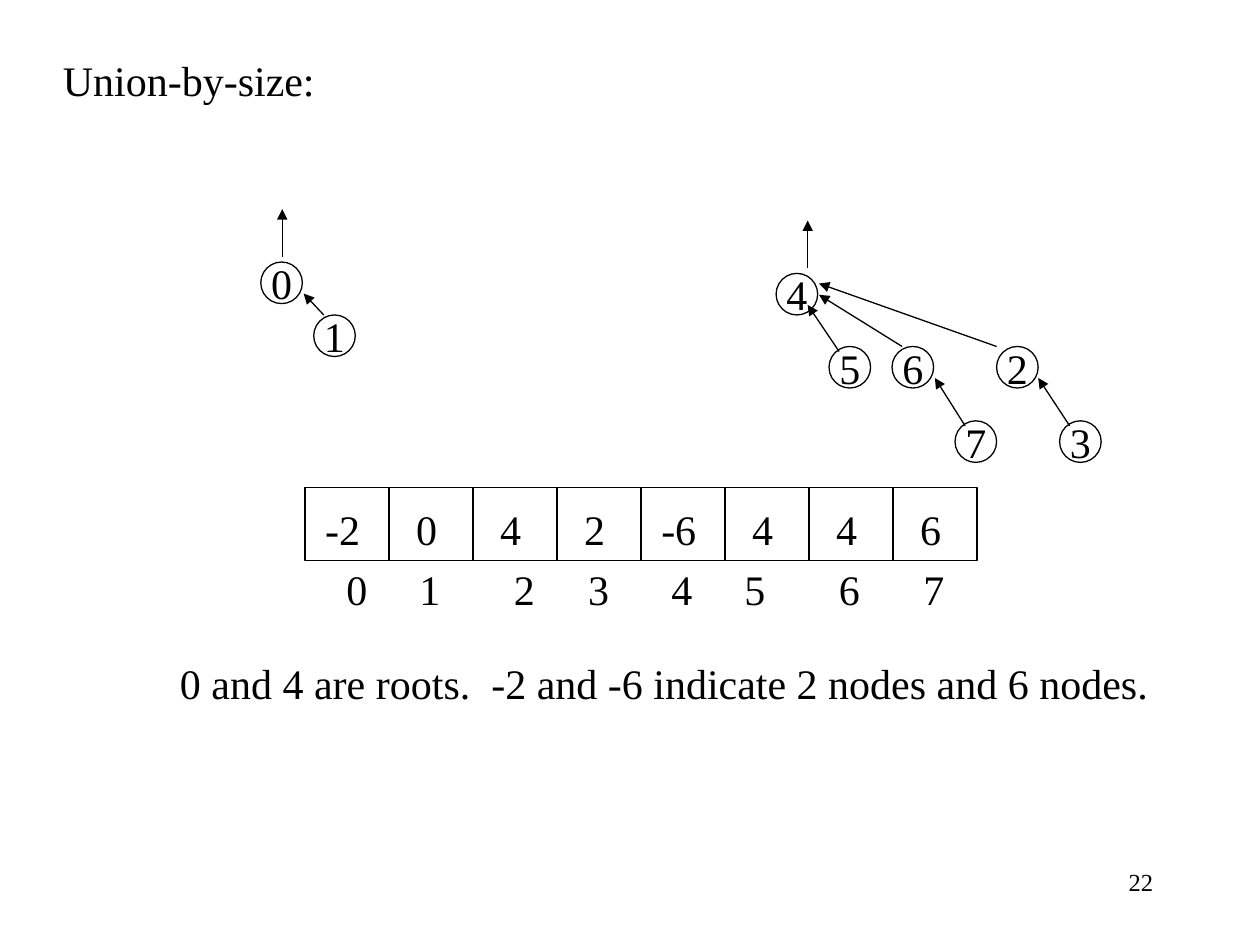
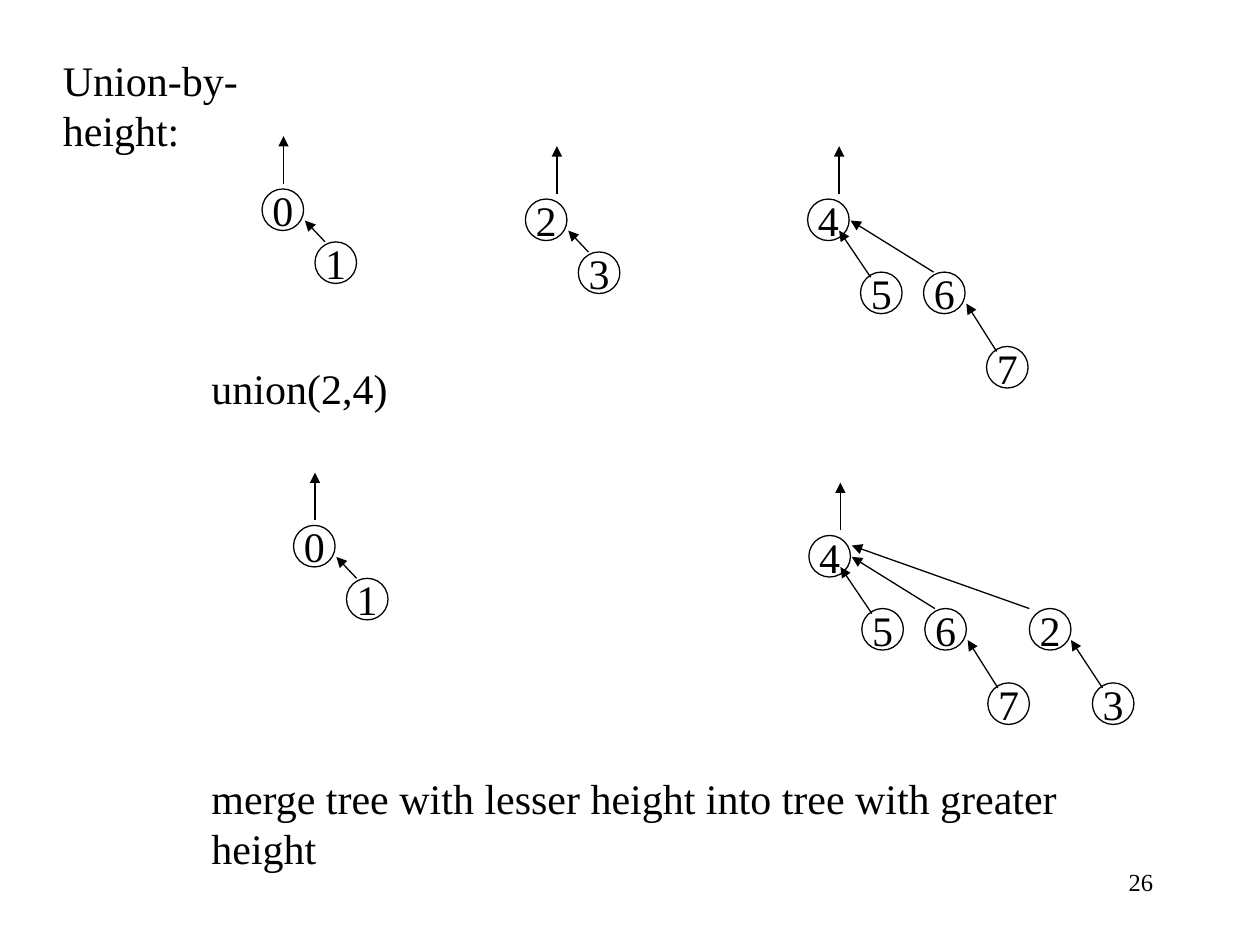
from lxml.etree import SubElement
from pptx import Presentation
from pptx.dml.color import RGBColor
from pptx.enum.shapes import MSO_CONNECTOR as Connector, MSO_SHAPE as Shape
from pptx.enum.text import MSO_ANCHOR as Anchor, PP_ALIGN as Align
from pptx.oxml.ns import qn
from pptx.util import Inches, Pt

COLORS = {"ink": "000000", "paper": "FFFFFF"}
FONT = "Times New Roman"
NODE_SIZE = 0.33

# Each branch: node offset, edge start and edge end, all from the root's corner.
PAIR_BRANCH = ((0.42, 0.42), (0.5, 0.42), (0.34, 0.25))
BRANCHES = {
    "1": PAIR_BRANCH,
    "3": PAIR_BRANCH,
    "5": ((0.42, 0.58), (0.5, 0.62), (0.25, 0.25)),
    "6": ((0.92, 0.58), (1, 0.58), (0.34, 0.17)),
    "7": ((1.42, 1.17), (1.5, 1.21), (1.26, 0.83)),
}
MERGED_BRANCHES = {
    **BRANCHES,
    "2": ((1.75, 0.58), (1.75, 0.58), (0.34, 0.08)),
    "3": ((2.25, 1.17), (2.33, 1.21), (2.08, 0.83)),
}


def write_text(shape, text, size=24, align=Align.LEFT, anchor=Anchor.TOP, wrap=False):
    frame = shape.text_frame
    frame.word_wrap = wrap
    frame.vertical_anchor = anchor
    paragraph = frame.paragraphs[0]
    paragraph.alignment = align
    run = paragraph.add_run()
    run.text = text
    run.font.name = FONT
    run.font.size = Pt(size)
    run.font.color.rgb = RGBColor.from_string(COLORS["ink"])


class Deck:
    def __init__(self):
        self.presentation = Presentation()
        self.presentation.slide_width = Inches(10)
        self.presentation.slide_height = Inches(7.5)
        self.slide = None

    def add_slide(self, title, number):
        self.slide = self.presentation.slides.add_slide(self.presentation.slide_layouts[6])
        background = self.slide.background.fill
        background.solid()
        background.fore_color.rgb = RGBColor.from_string(COLORS["paper"])
        self.text(title, 0.4, 0.38, 2.5)
        self.text(number, 7.17, 6.83, 2.08, size=14, align=Align.RIGHT, wrap=True)

    def text(self, text, left, top, width, **text_format):
        box = self.slide.shapes.add_textbox(
            Inches(left), Inches(top), Inches(width), Inches(0.5))
        write_text(box, text, **text_format)

    def outline(self, kind, left, top, width, height):
        shape = self.slide.shapes.add_shape(
            kind, Inches(left), Inches(top), Inches(width), Inches(height))
        shape.shadow.inherit = False
        shape.fill.background()
        self.style_line(shape.line)
        return shape

    def style_line(self, line):
        line.color.rgb = RGBColor.from_string(COLORS["ink"])
        line.width = Pt(0.75)

    def line(self, start, end, arrow=False):
        connector = self.slide.shapes.add_connector(
            Connector.STRAIGHT, *map(Inches, (*start, *end)))
        self.style_line(connector.line)
        if arrow:
            SubElement(connector.line._get_or_add_ln(), qn("a:tailEnd"), type="triangle")
        SubElement(connector._element.spPr, qn("a:effectLst"))
        return connector

    def node(self, label, left, top):
        circle = self.outline(Shape.OVAL, left, top, NODE_SIZE, NODE_SIZE)
        write_text(circle, label, align=Align.CENTER, anchor=Anchor.MIDDLE)

    def tree(self, root, children, left, top, stem=0.25, branches=BRANCHES):
        self.node(root, left, top)
        self.line((left + stem, top - 0.04), (left + stem, top - 0.42), arrow=True)
        for child in children:
            (dx, dy), *edge = branches[child]
            self.node(child, left + dx, top + dy)
            start, end = [(left + x, top + y) for x, y in edge]
            self.line(start, end, arrow=True)

    def array(self, values, index_lefts, left, top, cell_width, height):
        count = len(values)
        frame = self.outline(Shape.RECTANGLE, left, top, count * cell_width, height)
        for index, (value, index_left) in enumerate(zip(values, index_lefts)):
            cell_left = left + index * cell_width
            self.text(value, cell_left + 0.06, top + 0.08, 0.48, align=Align.CENTER)
            self.text(str(index), index_left, top + 0.55, 0.37)
            if index:
                divider = self.line((cell_left, top), (cell_left, top + height))
                if 2 * index == count:
                    divider.begin_connect(frame, 0)
                    divider.end_connect(frame, 2)


def union_by_size(deck):
    deck.add_slide("Union-by-size:", "22")
    deck.tree("0", "1", 2.07, 2.08, stem=0.17)
    deck.tree("4", "56723", 6.16, 2.17, branches=MERGED_BRANCHES)
    deck.array(
        ["-2", "0", "4", "2", "-6", "4", "4", "6"],
        [2.65, 3.23, 3.98, 4.57, 5.23, 5.81, 6.56, 7.23],
        left=2.42, top=3.87, cell_width=2 / 3, height=0.58)
    deck.text("0 and 4 are roots.  -2 and -6 indicate 2 nodes and 6 nodes.", 1.33, 5.17, 7.88)


def union_by_height(deck):
    deck.add_slide("Union-by-height:", "26")
    deck.tree("0", "1", 2.08, 1.5, stem=0.17)
    deck.tree("2", "3", 4.17, 1.58)
    deck.tree("4", "567", 6.41, 1.58)
    deck.text("union(2,4)", 1.58, 2.83, 1.6)
    deck.tree("0", "1", 2.33, 4.17, stem=0.17)
    deck.tree("4", "56723", 6.42, 4.25, branches=MERGED_BRANCHES)
    deck.text("merge tree with lesser height into tree with greater height",
              1.58, 6.08, 7.5, wrap=True)


def main():
    deck = Deck()
    union_by_size(deck)
    union_by_height(deck)
    deck.presentation.save("out.pptx")


if __name__ == "__main__":
    main()
